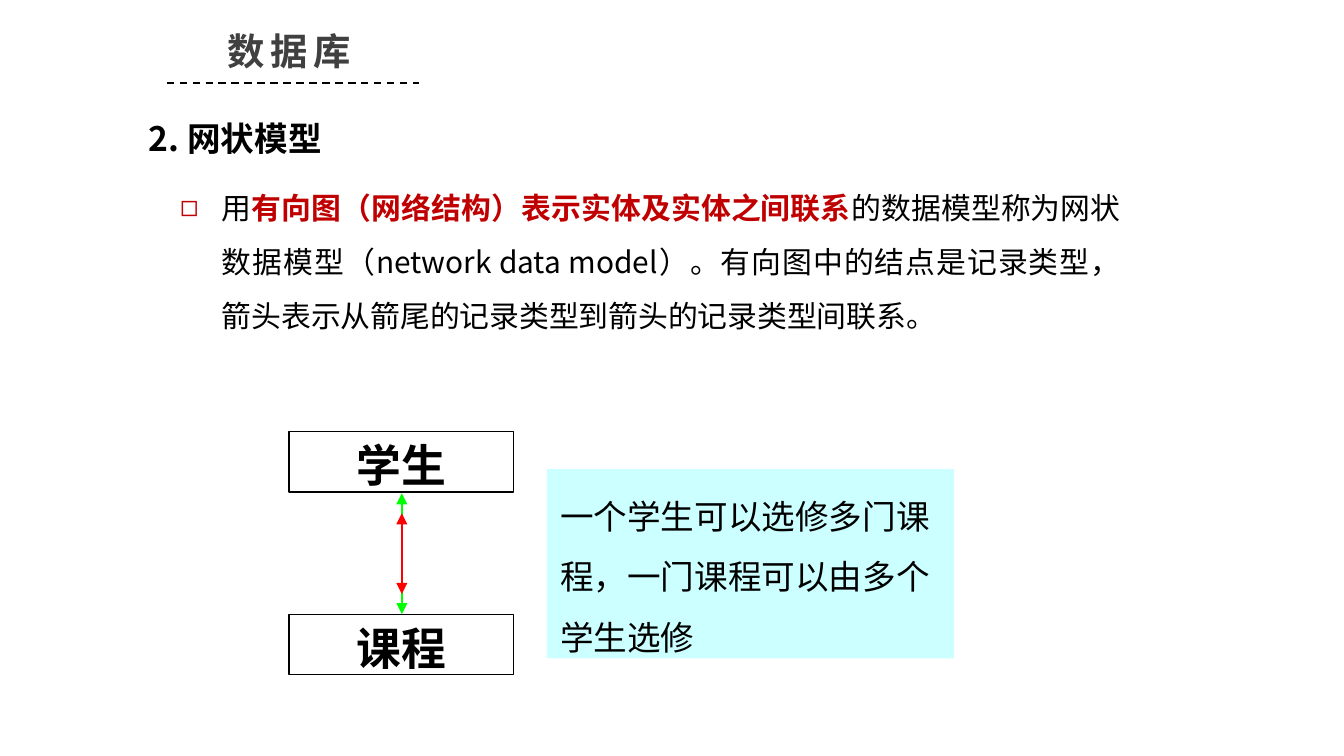
from lxml import etree
from pptx import Presentation
from pptx.dml.color import RGBColor
from pptx.enum import dml, shapes, text
from pptx.oxml import ns
from pptx.util import Inches, Pt

COLORS = {"ink": "000000", "title": "404040", "accent": "C00000", "paper": "FFFFFF",
          "note": "CCFFFF", "outer": "00FF00", "inner": "FF0000"}
CJK = "Noto Sans CJK SC"


def add_run(paragraph, words, size, color="ink", bold=False, font=CJK):
    run = paragraph.add_run()
    run.text = words
    for key, value in {"size": Pt(size), "bold": bold, "name": font}.items():
        setattr(run.font, key, value)
    run.font.color.rgb = RGBColor.from_string(COLORS[color])
    etree.SubElement(run.font._element, ns.qn("a:ea"), typeface=CJK)
    return run


def add_line(start, end, color, width):
    """Draw a straight line without shadow and return its line format."""
    line = slide.shapes.add_connector(
        shapes.MSO_CONNECTOR.STRAIGHT, *[Inches(v) for v in start + end])
    line.line.color.rgb = RGBColor.from_string(COLORS[color])
    line.line.width = Pt(width)
    etree.SubElement(line._element.spPr, ns.qn("a:effectLst"))
    return line.line


prs = Presentation()
prs.slide_width = Inches(10)
prs.slide_height = prs.slide_width * 9 // 16
slide = prs.slides.add_slide(prs.slide_layouts[1])

# Title, definition and section heading
title, definition = slide.placeholders
heading = slide.shapes.add_textbox(0, 0, 0, 0)
places = [(title, (1.08, 0.16, 2.14, 0.45)), (definition, (1.24, 1.23, 7.2, 1.27)),
          (heading, (1.01, 0.83, 1.65, 0.4))]
for part, place in places:
    part.left, part.top, part.width, part.height = [Inches(v) for v in place]
    frame_format = {"word_wrap": True, "auto_size": text.MSO_AUTO_SIZE.NONE,
                    "vertical_anchor": text.MSO_ANCHOR.TOP}
    for key, value in frame_format.items():
        setattr(part.text_frame, key, value)

title_line = title.text_frame.paragraphs[0]
title_line.alignment = text.PP_ALIGN.CENTER
add_run(title_line, "数据库", 20, "title", True).font._element.set("spc", "300")
add_line((1.24, 0.62), (3.12, 0.62), "ink", 1).dash_style = dml.MSO_LINE.DASH
add_run(heading.text_frame.paragraphs[0], "2. 网状模型", 18, bold=True)

sentence = definition.text_frame.paragraphs[0]
for key, value in {"alignment": text.PP_ALIGN.JUSTIFY, "line_spacing": 1.5,
                   "space_before": Pt(0)}.items():
    setattr(sentence, key, value)
props = sentence._p.get_or_add_pPr()
props.set("marL", str(Inches(0.31)))
props.set("indent", str(-Inches(0.31)))
bullet_color = etree.SubElement(props, ns.qn("a:buClr"))
etree.SubElement(bullet_color, ns.qn("a:srgbClr"), val=COLORS["accent"])
etree.SubElement(props, ns.qn("a:buChar"), char="◻")
add_run(sentence, "用", 16)
add_run(sentence, "有向图（网络结构）表示实体及实体之间联系", 16, "accent", True)
add_run(sentence, "的数据模型称为网状数据模型（network data model）。有向图中的结点是记录类型，"
                  "箭头表示从箭尾的记录类型到箭头的记录类型间联系。", 16)

# Record types and the explanatory note
boxes = [("学生", (2.15, 3.21, 1.67, 0.45), "paper"),
         ("课程", (2.15, 4.57, 1.67, 0.45), "paper"),
         ("一个学生可以选修多门课程，一门课程可以由多个学生选修", (4.07, 3.49, 3.03, 1.41), "note")]
for words, place, fill in boxes:
    box = slide.shapes.add_shape(shapes.MSO_SHAPE.RECTANGLE, *[Inches(v) for v in place])
    box.shadow.inherit = False
    box.fill.solid()
    box.fill.fore_color.rgb = RGBColor.from_string(COLORS[fill])
    box.text_frame.word_wrap = True
    box.text_frame.vertical_anchor = text.MSO_ANCHOR.TOP
    paragraph = box.text_frame.paragraphs[0]
    if fill == "note":
        box.line.fill.background()
        paragraph.alignment = text.PP_ALIGN.LEFT
        paragraph.line_spacing = 1.5
        paragraph.space_before = Pt(9)
        add_run(paragraph, words, 18, font="Arial")
    else:
        box.line.color.rgb = RGBColor.from_string(COLORS["ink"])
        box.line.width = Pt(0.75)
        paragraph.alignment = text.PP_ALIGN.CENTER
        add_run(paragraph, words, 24, bold=True, font="Times New Roman")

# Two-way relations between the record types
for top, bottom, color in [(3.67, 4.57, "outer"), (3.82, 4.42, "inner")]:
    relation = add_line((2.99, top), (2.99, bottom), color, 0.75)
    for end in ("a:headEnd", "a:tailEnd"):
        etree.SubElement(relation._get_or_add_ln(), ns.qn(end), type="triangle")

prs.save("out.pptx")
